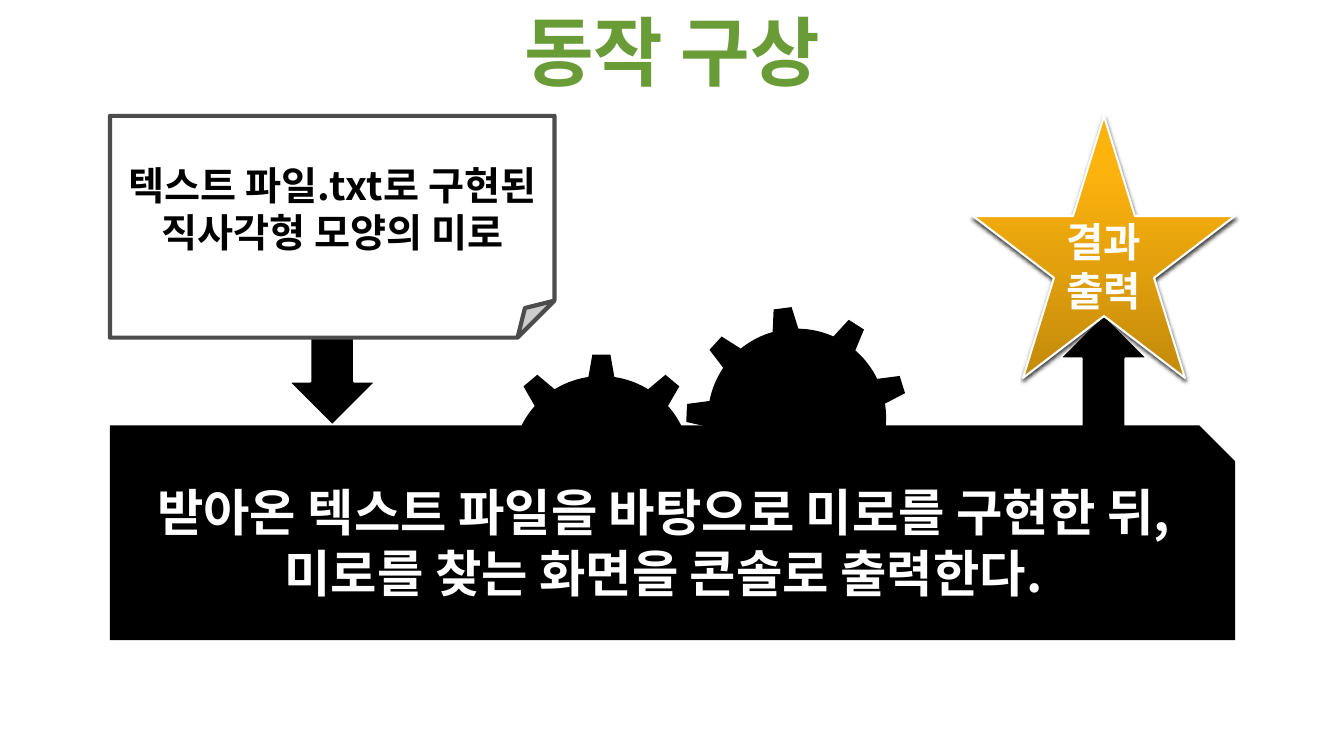
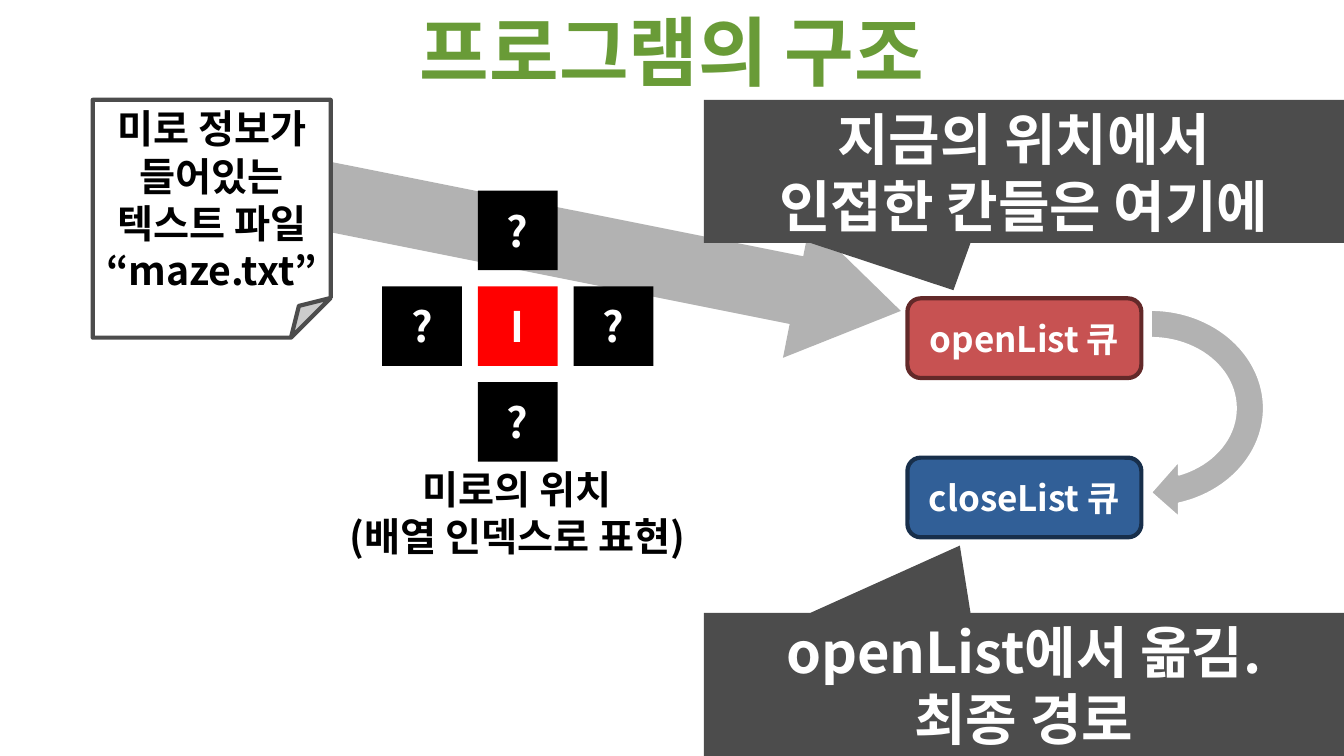
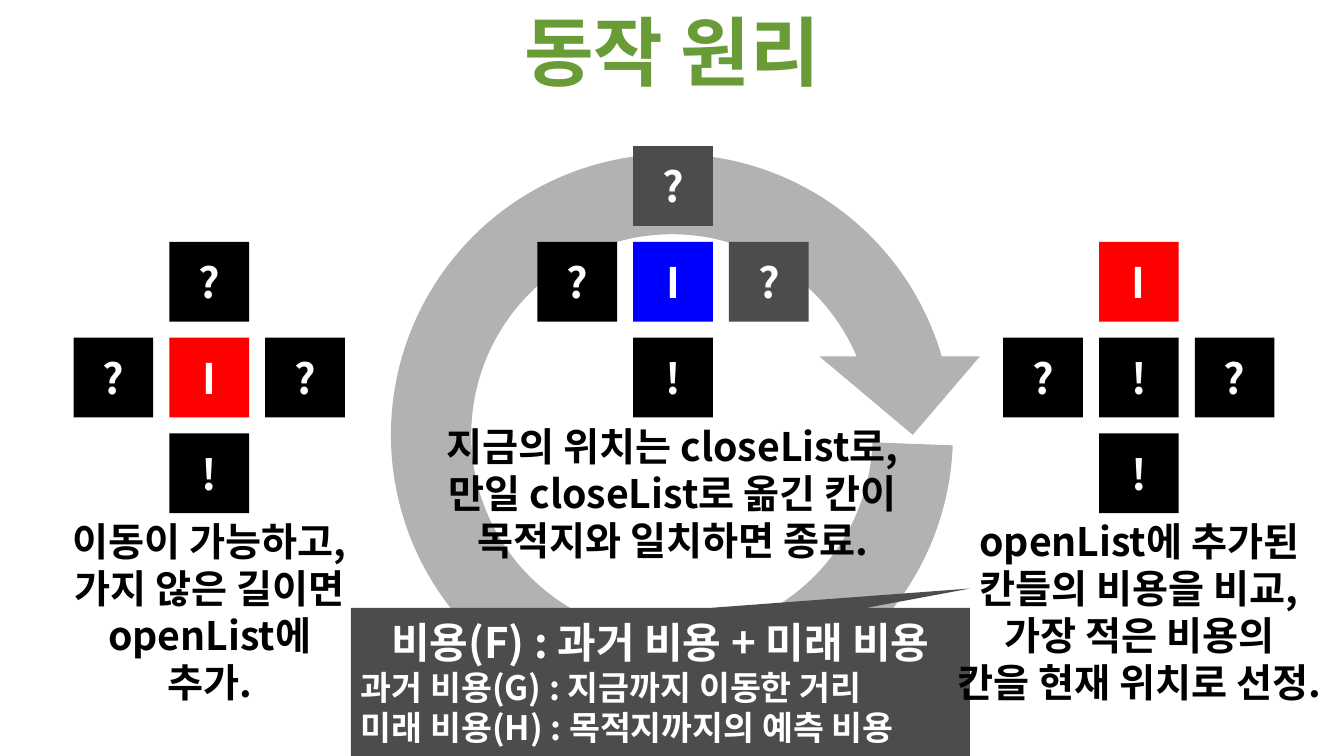
"""Build three slides that explain a maze path-finding program."""
from dataclasses import dataclass
from typing import Optional

from pptx import Presentation
from pptx.dml.color import RGBColor
from pptx.enum.shapes import MSO_SHAPE as SHAPE
from pptx.enum.text import MSO_ANCHOR as ANCHOR, MSO_AUTO_SIZE as AUTO, PP_ALIGN as ALIGN
from pptx.oxml import parse_xml
from pptx.oxml.ns import nsdecls, qn
from pptx.util import Inches, Pt

FONT = "Noto Sans CJK KR"
COLORS = {
    "white": "FFFFFF", "black": "000000", "dark": "4C4C4C", "gray": "B2B2B2",
    "title": "699B37", "title_edge": "344D1B", "red": "FF0000", "blue": "0000FF",
    "open": "C75252", "open_edge": "632929", "close": "315F97", "close_edge": "182F4B",
    "gold_dark": "C38A0B", "gold": "FDB30E", "gold_light": "FFB40E",
}
SLIDE_W, SLIDE_H = 13.33, 7.5
TITLE_H = 0.99
CELL, PITCH = 0.79, 0.95
CELL_OFFSETS = ((0, -1), (-1, 0), (0, 0), (1, 0), (0, 1))


@dataclass(frozen=True)
class Box:
    kind: SHAPE
    left: float
    top: float
    width: float
    height: float
    fill: str = "black"
    edge: Optional[str] = None
    edge_pt: float = 1.5
    lines: tuple[str, ...] = ()
    size: float = 28
    color: str = "white"
    rotation: float = 0
    adjust: tuple[float, ...] = ()


@dataclass(frozen=True)
class Cross:
    """Five cells listed as top, left, middle, right, bottom."""
    left: float
    top: float
    marks: str
    fills: tuple[str, ...]


@dataclass(frozen=True)
class Caption:
    left: float
    top: float
    width: float
    height: float
    lines: tuple[str, ...]


def rgb(name: str) -> RGBColor:
    return RGBColor.from_string(COLORS[name])


def write(tf, *lines: str, size: float, color: str, align=ALIGN.CENTER) -> None:
    """Append one formatted paragraph per line."""
    for line in lines:
        p = tf.paragraphs[0] if not tf.text else tf.add_paragraph()
        p.alignment = align
        r = p.add_run()
        r.text = line
        r.font.name, r.font.size, r.font.bold = FONT, Pt(size), True
        r.font.color.rgb = rgb(color)
        r.font._element.append(parse_xml(f'<a:ea {nsdecls("a")} typeface="{FONT}"/>'))


def add_box(s, box: Box):
    sp = s.shapes.add_shape(box.kind, *map(Inches, (box.left, box.top, box.width, box.height)))
    sp.shadow.inherit = False
    sp.rotation = box.rotation
    for i, value in enumerate(box.adjust):
        sp.adjustments[i] = value
    sp.fill.solid()
    sp.fill.fore_color.rgb = rgb(box.fill)
    if box.edge:
        sp.line.color.rgb = rgb(box.edge)
        sp.line.width = Pt(box.edge_pt)
    else:
        sp.line.fill.background()
    sp.text_frame.vertical_anchor = ANCHOR.MIDDLE
    write(sp.text_frame, *box.lines, size=box.size, color=box.color)
    return sp


def add_cross(s, cross: Cross) -> None:
    for (dx, dy), mark, fill in zip(CELL_OFFSETS, cross.marks, cross.fills):
        add_box(s, Box(SHAPE.RECTANGLE, cross.left + dx * PITCH, cross.top + dy * PITCH,
                       CELL, CELL, fill, lines=(mark,), size=30))


def add_caption(s, cap: Caption) -> None:
    tb = s.shapes.add_textbox(*map(Inches, (cap.left, cap.top, cap.width, cap.height)))
    tf = tb.text_frame
    tf.word_wrap = True
    tf.auto_size = AUTO.SHAPE_TO_FIT_TEXT
    write(tf, *cap.lines, size=28, color="black")


def add_titled_slide(prs, text: str):
    s = prs.slides.add_slide(prs.slide_layouts[5])
    title = s.shapes.title
    title.left, title.top = Inches(0), Inches(0)
    title.width, title.height = Inches(SLIDE_W), Inches(TITLE_H)
    tf = title.text_frame
    tf.word_wrap = True
    tf.vertical_anchor = ANCHOR.TOP
    tf.auto_size = AUTO.SHAPE_TO_FIT_TEXT
    write(tf, text, size=54, color="title")
    tf.paragraphs[0].runs[0].font._element.insert(0, parse_xml(
        f'<a:ln {nsdecls("a")} w="{Pt(1.5)}"><a:solidFill>'
        f'<a:srgbClr val="{COLORS["title_edge"]}"/></a:solidFill></a:ln>'))
    return s


def note(left: float, top: float, width: float, height: float, *lines: str) -> Box:
    return Box(SHAPE.FOLDED_CORNER, left, top, width, height, "white", "dark", 3, lines,
               color="black")


def callout(top: float, tip: tuple[float, float], *lines: str) -> Box:
    return Box(SHAPE.RECTANGULAR_CALLOUT, 6.98, top, 6.35, 1.42, "dark", lines=lines,
               size=40, adjust=tip)


def queue(top: float, name: str) -> Box:
    return Box(SHAPE.ROUNDED_RECTANGLE, 9, top, 2.32, 0.79, name, f"{name}_edge", 3,
               (f"{name}List 큐",), 25)


def gild(sp) -> None:
    """Give a shape the gold gradient and a soft drop shadow."""
    stops = "".join(f'<a:gs pos="{pos}"><a:srgbClr val="{COLORS[name]}"/></a:gs>'
                    for pos, name in ((0, "gold_dark"), (80000, "gold"), (100000, "gold_light")))
    props = sp._element.spPr
    solid = props.find(qn("a:solidFill"))
    props.replace(solid, parse_xml(
        f'<a:gradFill {nsdecls("a")} rotWithShape="1"><a:gsLst>{stops}</a:gsLst>'
        '<a:lin ang="16200000" scaled="0"/></a:gradFill>'))
    props.find(qn("a:effectLst")).append(parse_xml(
        f'<a:outerShdw {nsdecls("a")} blurRad="{Pt(3)}" dist="{Pt(2)}" dir="5400000" '
        f'rotWithShape="0"><a:srgbClr val="{COLORS["black"]}"><a:alpha val="75000"/>'
        '</a:srgbClr></a:outerShdw>'))


def build_concept(prs) -> None:
    s = add_titled_slide(prs, "동작 구상")
    for box in (
        Box(SHAPE.DOWN_ARROW, 10.51, 3.12, 0.87, 1.97, edge="white", rotation=180),
        Box(SHAPE.GEAR_9, 4.86, 3.51, 2.21, 2.21),
        Box(SHAPE.GEAR_9, 6.8, 3.04, 2.21, 2.21, rotation=352.5),
        Box(SHAPE.DOWN_ARROW, 2.86, 2.25, 0.87, 1.97, edge="white"),
        note(1.09, 1.15, 4.41, 2.2, "텍스트 파일.txt로 구현된", "직사각형 모양의 미로"),
        Box(SHAPE.SNIP_1_RECTANGLE, 1.09, 4.22, 11.16, 2.13, size=36, lines=(
            "받아온 텍스트 파일을 바탕으로 미로를 구현한 뒤,",
            "미로를 찾는 화면을 콘솔로 출력한다.")),
    ):
        add_box(s, box)
    gild(add_box(s, Box(SHAPE.STAR_5_POINT, 9.65, 1.15, 2.6, 2.6, "gold", "white",
                        lines=("결과", "출력"), size=29)))


def build_structure(prs) -> None:
    s = add_titled_slide(prs, "프로그램의 구조")
    add_box(s, Box(SHAPE.RIGHT_ARROW, 1.25, 1.64, 7.76, 1.37, "gray", rotation=11.3,
                   adjust=(0.5, 0.77)))
    turn = add_box(s, Box(SHAPE.LEFT_CIRCULAR_ARROW, 10.3, 2.79, 2.23, 2.52, "gray", "white",
                          rotation=90, adjust=(0.125, -11.42, 11.42, 108, 0.125)))
    turn._element.spPr.find(qn("a:xfrm")).set("flipV", "1")
    add_cross(s, Cross(4.74, 2.84, "??I??", ("black", "black", "red", "black", "black")))
    add_caption(s, Caption(3.28, 4.57, 3.7, 1.03, ("미로의 위치", "(배열 인덱스로 표현)")))
    for box in (
        note(0.92, 0.99, 2.36, 2.36, "미로 정보가", "들어있는", "텍스트 파일", "“maze.txt”"),
        queue(2.96, "open"),
        queue(4.54, "close"),
        callout(TITLE_H, (-0.11, 0.83), "지금의 위치에서", "인접한 칸들은 여기에"),
        callout(6.08, (-0.1, -0.97), "openList에서 옮김.", "최종 경로"),
    ):
        add_box(s, box)


def build_principle(prs) -> None:
    s = add_titled_slide(prs, "동작 원리")
    add_box(s, Box(SHAPE.CIRCULAR_ARROW, 3.48, 1.13, 6.37, 6.37, "gray",
                   adjust=(0.125, 11.42, 204.58, 1.28, 0.125)))
    cost = add_box(s, Box(SHAPE.RECTANGULAR_CALLOUT, 3.48, 6.03, 6.14, 1.47, "dark", size=30,
                          lines=("비용(F) : 과거 비용 + 미래 비용",), adjust=(0.5, -0.63)))
    write(cost.text_frame, "과거 비용(G) : 지금까지 이동한 거리",
          "미래 비용(H) : 목적지까지의 예측 비용", size=24, color="white", align=ALIGN.LEFT)
    for cross, caption in (
        (Cross(1.68, 3.35, "??I?!", ("black", "black", "red", "black", "black")),
         Caption(0.6, 5.08, 2.96, 1.96,
                 ("이동이 가능하고,", "가지 않은 길이면", "openList에 추가."))),
        (Cross(6.28, 2.4, "??I?!", ("dark", "black", "blue", "dark", "black")),
         Caption(4.08, 4.14, 5.18, 1.5,
                 ("지금의 위치는 closeList로,", "만일 closeList로 옮긴 칸이",
                  "목적지와 일치하면 종료."))),
        (Cross(10.9, 3.35, "I?!?!", ("red", "black", "black", "black", "black")),
         Caption(9.26, 5.08, 4.08, 1.96,
                 ("openList에 추가된", "칸들의 비용을 비교,", "가장 적은 비용의",
                  "칸을 현재 위치로 선정."))),
    ):
        add_cross(s, cross)
        add_caption(s, caption)


def main() -> None:
    prs = Presentation()
    prs.slide_width, prs.slide_height = Inches(SLIDE_W), Inches(SLIDE_H)
    for build in (build_concept, build_structure, build_principle):
        build(prs)
    prs.save("out.pptx")


if __name__ == "__main__":
    main()
